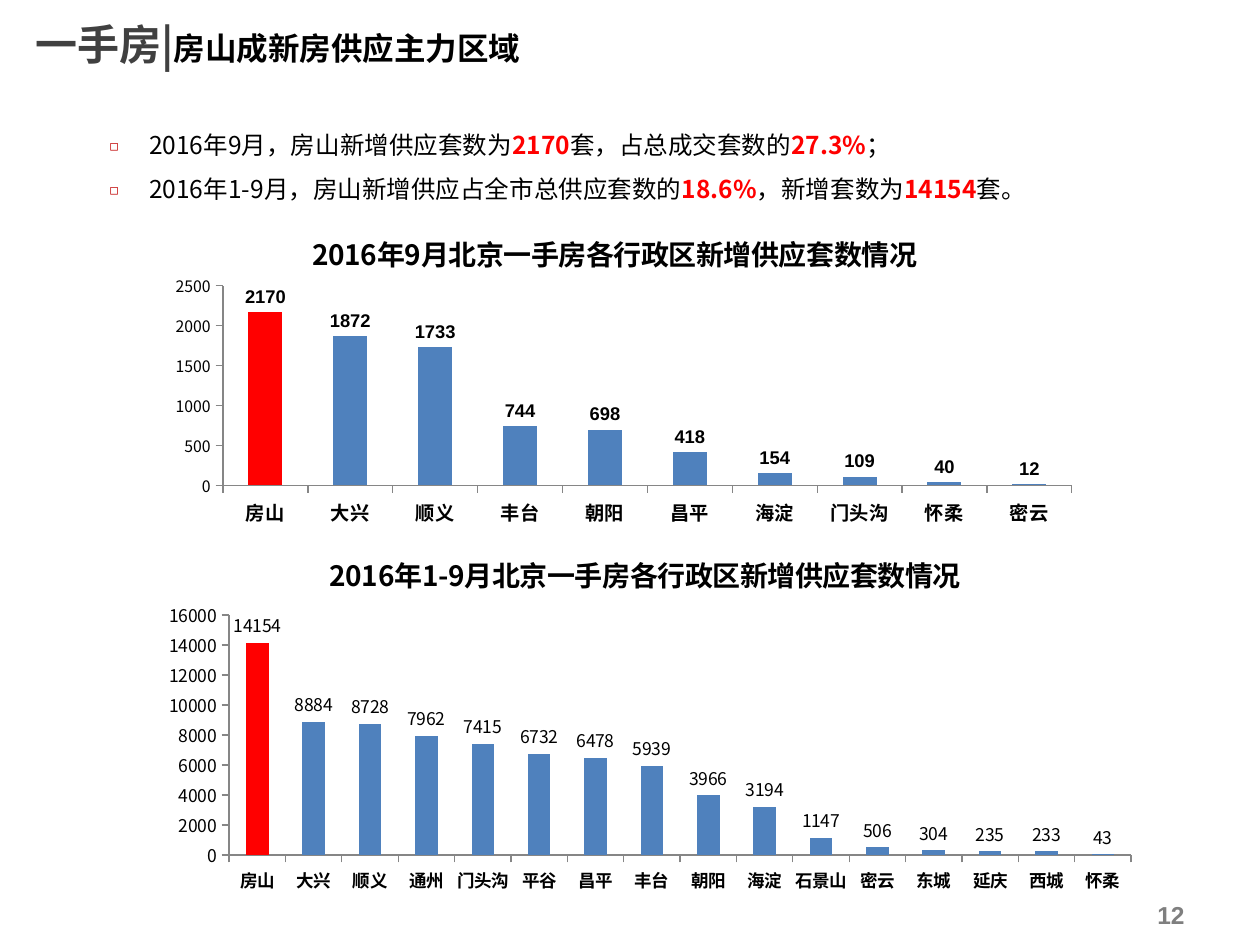
from lxml import etree
from pptx import Presentation
from pptx.chart.data import CategoryChartData
from pptx.dml.color import RGBColor
from pptx.enum import chart as ch, text as tx
from pptx.oxml import parse_xml
from pptx.oxml.ns import nsdecls, qn
from pptx.util import Pt

SANS, ARIAL = "Noto Sans CJK SC", "Arial"
BLACK, RED, BLUE, GREY = "000000", "FF0000", "4F81BD", "868686"

SEPT = {"房山": 2170, "大兴": 1872, "顺义": 1733, "丰台": 744, "朝阳": 698,
        "昌平": 418, "海淀": 154, "门头沟": 109, "怀柔": 40, "密云": 12}
YEAR = {"房山": 14154, "大兴": 8884, "顺义": 8728, "通州": 7962,
        "门头沟": 7415, "平谷": 6732, "昌平": 6478, "丰台": 5939,
        "朝阳": 3966, "海淀": 3194, "石景山": 1147, "密云": 506,
        "东城": 304, "延庆": 235, "西城": 233, "怀柔": 43}
# Plain and highlighted runs alternate in each point.
POINTS = [
    ["2016年9月，房山新增供应套数为", "2170", "套，占总成交套数的", "27.3%", "；"],
    ["2016年1-9月，房山新增供应占全市总供应套数的", "18.6%", "，新增套数为",
     "14154", "套。"],
]


def paint(fmt, color):
    fmt.solid()
    fmt.fore_color.rgb = RGBColor.from_string(color)


def style(font, size, color=BLACK, bold=False, face=SANS):
    """Set a font, for Latin and East Asian letters alike."""
    font.size, font.bold, font.name = Pt(size), bold, face
    paint(font.fill, color)
    latin = font._element.find(qn("a:latin"))
    latin.addnext(parse_xml(f'<a:ea {nsdecls("a")} typeface="{face}"/>'))


def add_run(para, words, *look):
    run = para.add_run()
    run.text = words
    style(run.font, *look)


def place(shape, left, top, width, height):
    shape.left, shape.top = Pt(left), Pt(top)
    shape.width, shape.height = Pt(width), Pt(height)


def add_title(slide):
    title = slide.shapes.title
    place(title, 13, 6.5, 456.5, 37.5)
    frame = title.text_frame
    frame.vertical_anchor = tx.MSO_ANCHOR.MIDDLE
    frame.auto_size = tx.MSO_AUTO_SIZE.NONE
    para = frame.paragraphs[0]
    para.alignment = tx.PP_ALIGN.LEFT
    add_run(para, "一手房|", 24, "404040", True)
    add_run(para, "房山成新房供应主力区域", 18, BLACK, True)


def set_bullet(para):
    props = para._p.get_or_add_pPr()
    props.set("marL", str(Pt(22.5)))
    props.set("indent", str(Pt(-22.5)))
    color = etree.SubElement(props, qn("a:buClr"))
    etree.SubElement(color, qn("a:srgbClr"), val="C00000")
    etree.SubElement(props, qn("a:buSzPct"), val="60000")
    etree.SubElement(props, qn("a:buFont"), typeface=SANS)
    etree.SubElement(props, qn("a:buChar"), char="◻")


def add_points(slide):
    body = slide.placeholders[1]
    place(body, 55.5, 62.5, 590.5, 58.5)
    frame = body.text_frame
    frame.auto_size = tx.MSO_AUTO_SIZE.SHAPE_TO_FIT_TEXT
    for i, parts in enumerate(POINTS):
        para = frame.add_paragraph() if i else frame.paragraphs[0]
        para.alignment = tx.PP_ALIGN.JUSTIFY
        para.line_spacing = 1.5
        para.space_before = Pt(0)
        set_bullet(para)
        for j, words in enumerate(parts):
            hot = j % 2 == 1
            add_run(para, words, 14, RED if hot else BLACK, hot)


def set_plot(chart, height):
    """Fix the inner plot area as fractions of the chart."""
    area = chart._chartSpace.chart.plotArea
    for old in area.findall(qn("c:layout")):
        area.remove(old)
    layout = etree.Element(qn("c:layout"))
    manual = etree.SubElement(layout, qn("c:manualLayout"))
    for tag, val in [("layoutTarget", "inner"), ("xMode", "edge"),
                     ("yMode", "edge"), ("x", 0.1), ("y", 0.22),
                     ("w", 0.867), ("h", height)]:
        etree.SubElement(manual, qn("c:" + tag), val=str(val))
    area.insert(0, layout)


def set_axis(axis, size, bold):
    axis.has_major_gridlines = False
    axis.major_tick_mark = ch.XL_TICK_MARK.OUTSIDE
    axis.minor_tick_mark = ch.XL_TICK_MARK.NONE
    paint(axis.format.line.fill, GREY)
    axis.format.line.width = Pt(0.75)
    style(axis.tick_labels.font, size, BLACK, bold)


def add_bars(slide, box, head, counts, top, step, high, sizes, look):
    """sizes: category and value axis text; look: size, bold, face of labels."""
    data = CategoryChartData()
    data.categories = list(counts)
    data.add_series("新增供应套数", list(counts.values()))
    chart = slide.shapes.add_chart(
        ch.XL_CHART_TYPE.COLUMN_CLUSTERED, *map(Pt, box), data).chart
    size, bold, face = look
    style(chart.font, 10, BLACK, False, face)
    chart.has_legend = False
    chart.has_title = True
    add_run(chart.chart_title.text_frame.paragraphs[0], head, 16, BLACK, True)
    chart.chart_title.include_in_layout = False
    set_plot(chart, high)

    set_axis(chart.category_axis, sizes[0], True)
    values = chart.value_axis
    set_axis(values, sizes[1], False)
    values.minimum_scale, values.maximum_scale = 0, top
    values.major_unit = step

    plot = chart.plots[0]
    plot.gap_width = 150
    plot.vary_by_categories = False
    bars = plot.series[0]
    paint(bars.format.fill, BLUE)
    paint(bars.points[0].format.fill, RED)
    labels = bars.data_labels
    labels.show_value = True
    labels.position = ch.XL_LABEL_POSITION.OUTSIDE_END
    style(labels.font, size, BLACK, bold, face)


def add_number(slide):
    frame = slide.shapes.add_textbox(
        Pt(516), Pt(508.5), Pt(168), Pt(28.5)).text_frame
    frame.word_wrap = True
    frame.vertical_anchor = tx.MSO_ANCHOR.MIDDLE
    para = frame.paragraphs[0]
    para.alignment = tx.PP_ALIGN.RIGHT
    add_run(para, "12", 14, "7F7F7F", True, ARIAL)


def main():
    deck = Presentation()
    deck.slide_width, deck.slide_height = Pt(720), Pt(540)
    slide = deck.slides.add_slide(deck.slide_layouts[1])
    add_title(slide)
    add_points(slide)
    add_bars(slide, (71.5, 121, 559.5, 192), "2016年9月北京一手房各行政区新增供应套数情况",
             SEPT, 2500, 500, 0.595, (11, 9), (10.5, True, ARIAL))
    add_bars(slide, (71.5, 304, 594.5, 216), "2016年1-9月北京一手房各行政区新增供应套数情况",
             YEAR, 16000, 2000, 0.635, (10, 10), (10, False, SANS))
    add_number(slide)
    deck.save("out.pptx")


if __name__ == "__main__":
    main()
